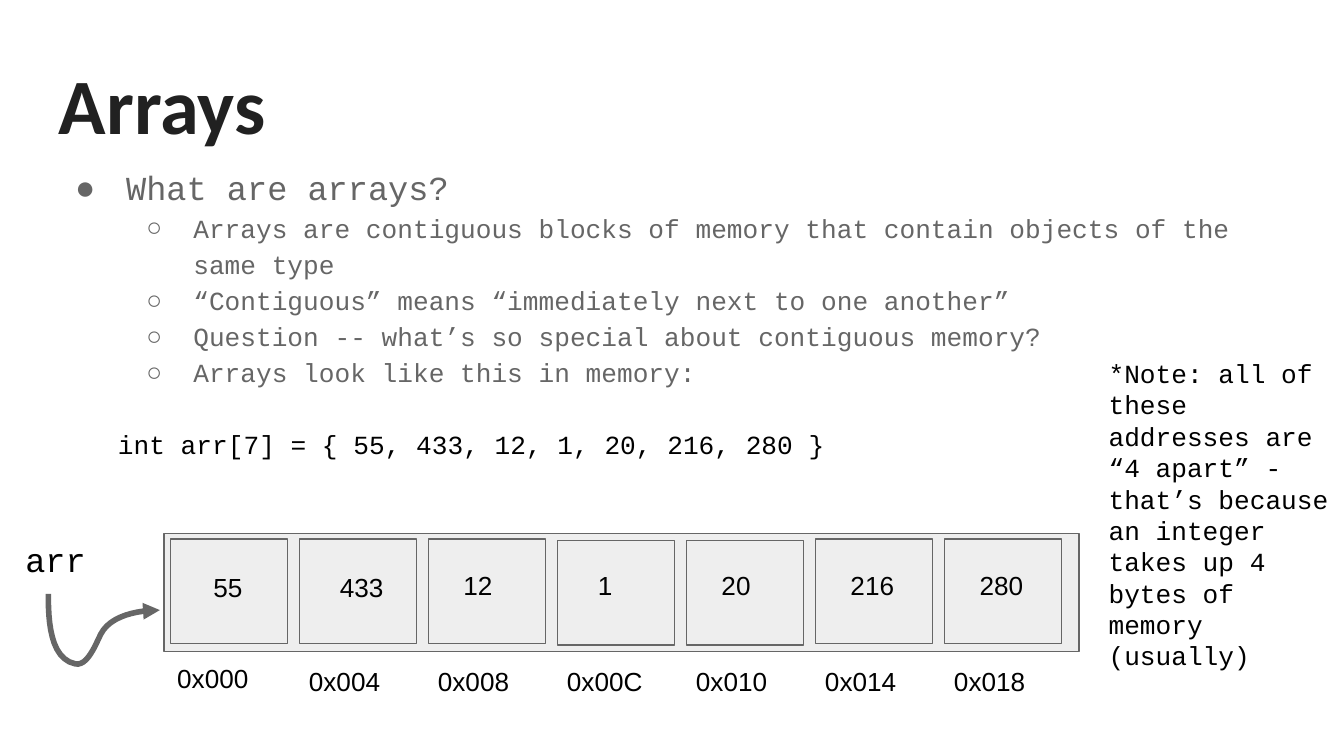
from lxml import etree
from pptx import Presentation
from pptx.dml.color import RGBColor
from pptx.enum.shapes import MSO_SHAPE
from pptx.oxml.ns import qn
from pptx.util import Inches, Pt

RECTANGLE = MSO_SHAPE.RECTANGLE
COLORS = {"title": "212121", "gray": "666666", "cell": "EEEEEE", "black": "000000"}
MONO = "Courier New"

# Widescreen 16:9 slide
presentation = Presentation()
presentation.slide_width = Inches(10)
presentation.slide_height = Inches(10 * 9 / 16)
slide = presentation.slides.add_slide(presentation.slide_layouts[6])


def add_text(text, left, top, width, height, size=14, font="Arial", color="black", bold=False):
    """Add a wrapped text box and return its text frame."""
    frame = slide.shapes.add_textbox(
        Inches(left), Inches(top), Inches(width), Inches(height)).text_frame
    frame.word_wrap = True
    frame.margin_left = frame.margin_right = Inches(0.1)
    frame.margin_top = frame.margin_bottom = Inches(0.1)
    frame.text = text
    for paragraph in frame.paragraphs:
        paragraph.font.size = Pt(size)
        paragraph.font.name = font
        paragraph.font.bold = bold
        paragraph.font.color.rgb = RGBColor.from_string(COLORS[color])
    return frame


def add_box(left, top, width, height):
    """Add a thinly outlined memory rectangle."""
    box = slide.shapes.add_shape(
        RECTANGLE, Inches(left), Inches(top), Inches(width), Inches(height))
    box.shadow.inherit = False
    box.fill.solid()
    box.fill.fore_color.rgb = RGBColor.from_string(COLORS["cell"])
    box.line.color.rgb = RGBColor.from_string(COLORS["gray"])
    box.line.width = Pt(0.75)


# Title
add_text("Arrays", 0.34, 0.32, 9.32, 0.88, 42, "Calibri", "title", True)

# Bulleted explanation: (level, text)
bullets = [
    (0, "What are arrays?"),
    (1, "Arrays are contiguous blocks of memory that contain objects of the same type"),
    (1, "“Contiguous” means “immediately next to one another”"),
    (1, "Question -- what’s so special about contiguous memory?"),
    (1, "Arrays look like this in memory:"),
]
LEVELS = [("●", 0.5, -0.38, 18), ("○", 1, -0.35, 14)]
body = add_text("", 0.34, 1.1, 9.32, 1.73)
for index, (level, text) in enumerate(bullets):
    paragraph = body.add_paragraph() if index else body.paragraphs[0]
    symbol, margin, indent, size = LEVELS[level]
    paragraph.text = text
    paragraph.level = level
    paragraph.line_spacing = 1.15
    properties = paragraph._p.get_or_add_pPr()
    for child in properties.findall(qn("a:defRPr")):
        properties.remove(child)
    properties.set("marL", str(Inches(margin)))
    properties.set("indent", str(Inches(indent)))
    bullet_color = etree.SubElement(properties, qn("a:buClr"))
    etree.SubElement(bullet_color, qn("a:srgbClr")).set("val", COLORS["gray"])
    etree.SubElement(properties, qn("a:buFont")).set("typeface", "Arial")
    etree.SubElement(properties, qn("a:buChar")).set("char", symbol)
    paragraph.font.size = Pt(size)
    paragraph.font.name = MONO
    paragraph.font.color.rgb = RGBColor.from_string(COLORS["gray"])

# Memory block with its cells, values and addresses
cells = [
    ("55", 1.49, "0x000"),
    ("433", 2.43, "0x004"),
    ("12", 3.35, "0x008"),
    ("1", 4.35, "0x00C"),
    ("20", 5.27, "0x010"),
    ("216", 6.23, "0x014"),
    ("280", 7.19, "0x018"),
]
CELL_STEP = 0.96
add_box(1.22, 3.97, 6.81, 0.88)
for index, (value, value_left, address) in enumerate(cells):
    offset = index * CELL_STEP
    add_box(1.27 + offset, 4.02 if index in (3, 4) else 4.01, 0.87, 0.78)
    add_text(value, value_left, 4.15 if index < 2 else 4.14, 0.56, 0.53)
    add_text(address, 1.24 + offset if index else 1.22, 4.85 if index else 4.83, 0.93, 0.53)

# Declaration, pointer name and side note
add_text("int arr[7] = { 55, 433, 12, 1, 20, 216, 280 }", 0.78, 3.09, 6.16, 0.48, font=MONO)
add_text("arr", 0.09, 3.91, 0.87, 0.48, 18, MONO)
add_text("*Note: all of these addresses are “4 apart” - that’s because an integer "
         "takes up 4 bytes of memory (usually)", 8.15, 2.56, 1.85, 2.64, font=MONO)

# Curved pointer arrow: cubic Bézier segments sampled into short lines
curve = [(0.36, 4.42), (0.36, 4.61), (0.37, 4.9), (0.56, 4.94), (0.65, 4.96),
         (0.71, 4.8), (0.75, 4.72), (0.82, 4.58), (1.03, 4.54), (1.19, 4.54)]
STEPS = 12
points = []
for first in range(0, len(curve) - 1, 3):
    for step in range(1, STEPS + 1):
        t = step / STEPS
        weights = ((1 - t) ** 3, 3 * t * (1 - t) ** 2, 3 * t * t * (1 - t), t ** 3)
        controls = curve[first:first + 4]
        points.append(tuple(
            Inches(sum(weight * control[axis] for weight, control in zip(weights, controls)))
            for axis in (0, 1)))
builder = slide.shapes.build_freeform(Inches(curve[0][0]), Inches(curve[0][1]))
builder.add_line_segments(points, close=False)
pointer = builder.convert_to_shape()
pointer.shadow.inherit = False
pointer.fill.background()
pointer.line.color.rgb = RGBColor.from_string(COLORS["gray"])
pointer.line.width = Pt(3)
etree.SubElement(pointer.line._get_or_add_ln(), qn("a:tailEnd")).set("type", "triangle")

presentation.save("out.pptx")
